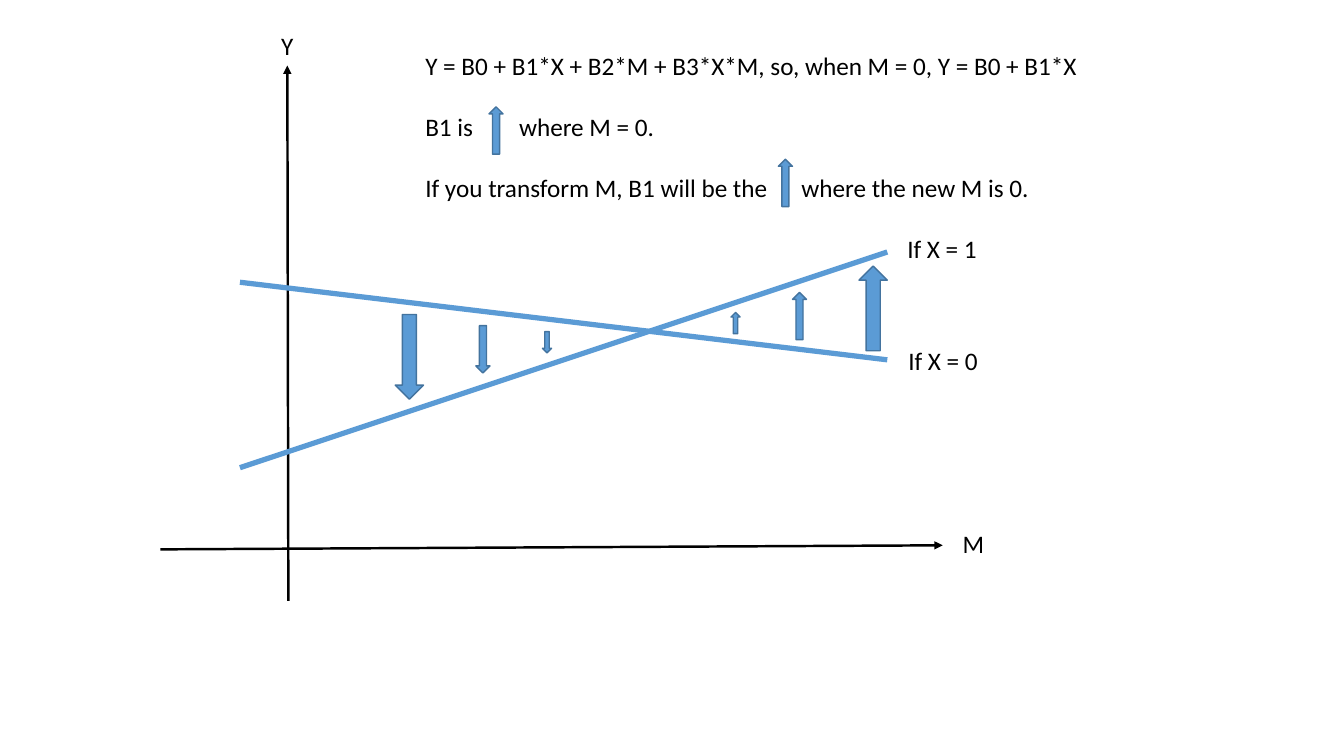
from typing import NamedTuple

from lxml import etree
from pptx import Presentation
from pptx.dml import color
from pptx.enum import shapes, text
from pptx.oxml import ns
from pptx.util import Inches, Pt

COLORS = {"ink": "000000", "blue": "5B9BD5", "arrow_edge": "43739E"}
FONT, FONT_SIZE = "Calibri", Pt(18)
LINE_GAP = Pt(22)  # one empty line between statements


class Line(NamedTuple):
    start: tuple[float, float]
    end: tuple[float, float]
    ink: str
    weight: float
    has_head: bool


class Label(NamedTuple):
    left: float
    top: float
    width: float
    wording: str


class Effect(NamedTuple):
    """Arrow showing the effect of X at one value of M."""
    left: float
    top: float
    size: tuple[float, float]


class Statement(NamedTuple):
    wording: str
    tab: float | None = None  # where the words after an arrow resume


LARGE, MEDIUM, SMALL = (0.28, 0.84), (0.14, 0.47), (0.09, 0.21)

AXES = [
    Line((1.59, 5.45), (9.35, 5.41), "ink", 1.75, True),
    Line((2.86, 5.96), (2.85, 0.65), "ink", 1.75, True),
]
SLOPES = [
    Line((2.38, 4.64), (8.8, 2.5), "blue", 3.75, False),
    Line((2.38, 2.8), (8.8, 3.57), "blue", 3.75, False),
]
LABELS = [
    Label(9.45, 5.19, 0.84, "M"),
    Label(2.69, 0.25, 0.84, "Y"),
    Label(8.9, 2.27, 1.91, "If X = 1"),
    Label(8.91, 3.38, 1.91, "If X = 0"),
]
STATEMENTS = [
    Statement("Y = B0 + B1*X + B2*M + B3*X*M, so, when M = 0, Y = B0 + B1*X"),
    Statement("B1 is\twhere M = 0.", 0.93),
    Statement("If you transform M, B1 will be the\twhere the new M is 0.", 3.73),
]
POSITIVE_EFFECTS = [
    Effect(8.52, 2.64, LARGE), Effect(7.86, 2.9, MEDIUM), Effect(7.25, 3.1, SMALL),
]
NEGATIVE_EFFECTS = [
    Effect(3.92, 3.12, LARGE), Effect(4.72, 3.23, MEDIUM), Effect(5.38, 3.29, SMALL),
]
INLINE_EFFECTS = [Effect(4.85, 1.06, MEDIUM), Effect(7.72, 1.58, MEDIUM)]


def rgb(name: str) -> color.RGBColor:
    return color.RGBColor.from_string(COLORS[name])


def draw_line(canvas, line: Line) -> None:
    connector = canvas.add_connector(
        shapes.MSO_CONNECTOR.STRAIGHT, *map(Inches, line.start + line.end))
    connector.line.color.rgb = rgb(line.ink)
    connector.line.width = Pt(line.weight)
    if line.has_head:
        etree.SubElement(connector.line._get_or_add_ln(), ns.qn("a:tailEnd"),
                         type="triangle")
    etree.SubElement(connector._element.spPr, ns.qn("a:effectLst"))


def add_frame(canvas, left: float, top: float, width: float, height: float):
    frame = canvas.add_textbox(*map(Inches, (left, top, width, height))).text_frame
    frame.word_wrap = True
    frame.auto_size = text.MSO_AUTO_SIZE.SHAPE_TO_FIT_TEXT
    return frame


def write(paragraph, wording: str) -> None:
    run = paragraph.add_run()
    run.text = wording
    run.font.name, run.font.size = FONT, FONT_SIZE
    run.font.color.rgb = rgb("ink")


def draw_label(canvas, label: Label) -> None:
    frame = add_frame(canvas, label.left, label.top, label.width, 0.4)
    write(frame.paragraphs[0], label.wording)


def draw_statements(canvas, statements: list[Statement]) -> None:
    frame = add_frame(canvas, 4.12, 0.45, 7.53, 1.62)
    for index, statement in enumerate(statements):
        paragraph = frame.add_paragraph() if index else frame.paragraphs[0]
        if index:
            paragraph.space_before = LINE_GAP
        if statement.tab is not None:
            properties = paragraph._p.get_or_add_pPr()
            tabs = etree.SubElement(properties, ns.qn("a:tabLst"))
            etree.SubElement(tabs, ns.qn("a:tab"),
                             pos=str(Inches(statement.tab)), algn="l")
        write(paragraph, statement.wording)


def draw_effect(canvas, effect: Effect, rotation: int = 0) -> None:
    arrow = canvas.add_shape(
        shapes.MSO_SHAPE.UP_ARROW,
        *map(Inches, (effect.left, effect.top) + effect.size))
    arrow.rotation = rotation
    arrow.shadow.inherit = False
    arrow.fill.solid()
    arrow.fill.fore_color.rgb = rgb("blue")
    arrow.line.color.rgb = rgb("arrow_edge")
    arrow.line.width = Pt(1)


presentation = Presentation()
presentation.slide_width, presentation.slide_height = Inches(13.33), Inches(7.5)
slide = presentation.slides.add_slide(presentation.slide_layouts[6])

# Axes and the two regression lines
for plot_line in AXES + SLOPES:
    draw_line(slide.shapes, plot_line)

# Wording
for plot_label in LABELS:
    draw_label(slide.shapes, plot_label)
draw_statements(slide.shapes, STATEMENTS)

# Effect arrows: upward, downward as one group, and within the statements
for positive in POSITIVE_EFFECTS:
    draw_effect(slide.shapes, positive)
negative_group = slide.shapes.add_group_shape()
for negative in NEGATIVE_EFFECTS:
    draw_effect(negative_group.shapes, negative, rotation=180)
for inline in INLINE_EFFECTS:
    draw_effect(slide.shapes, inline)

presentation.save("out.pptx")
